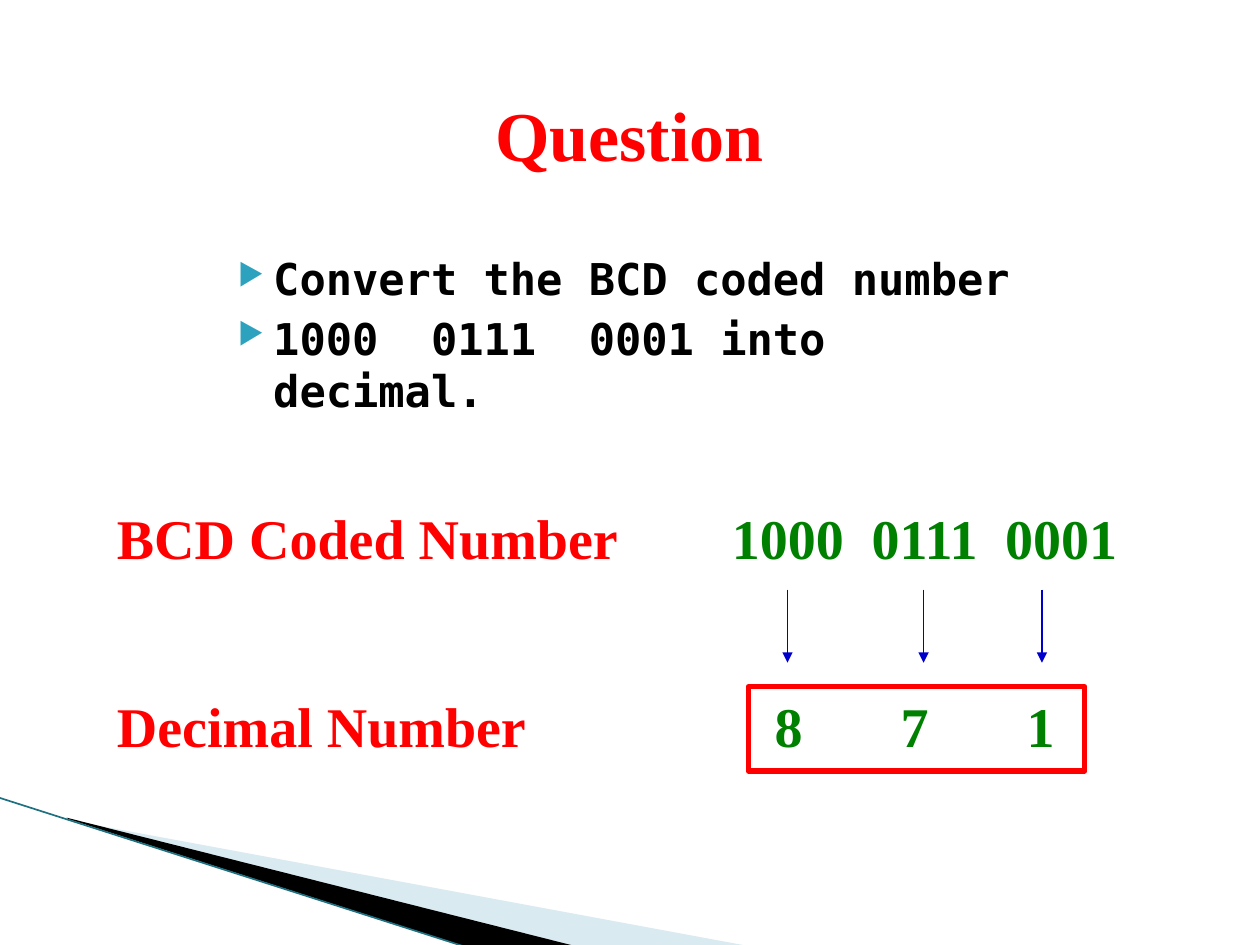
from pptx import Presentation
from pptx import util as u
from pptx.dml.color import RGBColor
from pptx.enum import shapes, text
from pptx.oxml.ns import qn
from lxml import etree

HEX = {"red": "FF0000", "green": "008000", "blue": "0000CC", "black": "000000",
       "pale": "A0CBDC", "teal": "1F7080", "mark": "2DA2BF"}
SERIF, MONO = "Times New Roman", "DejaVu Sans Mono"


def rgb(name):
    return RGBColor.from_string(HEX[name])


def sub(node, tag, **attrs):
    """Append a child element with the given attributes."""
    child = etree.SubElement(node, qn(tag))
    for key, val in attrs.items():
        child.set(key, str(val))
    return child


class Pen:
    """Draws styled elements on the current slide."""

    def __init__(self, slide):
        self.slide = slide
        self.items = slide.shapes

    def place(self, shape, box):
        for name, val in zip(("left", "top", "width", "height"), box):
            setattr(shape, name, u.Inches(val))

    def frame(self, shape):
        look = {"word_wrap": True, "auto_size": text.MSO_AUTO_SIZE.NONE,
                "vertical_anchor": text.MSO_ANCHOR.TOP}
        for name, val in look.items():
            setattr(shape.text_frame, name, val)
        return shape.text_frame

    def box(self, area):
        return self.frame(self.items.add_textbox(*map(u.Inches, area)))

    def run(self, para, words, size, color, font=SERIF):
        run = para.add_run()
        run.text = words
        for name, val in {"size": u.Pt(size), "bold": True, "name": font}.items():
            setattr(run.font, name, val)
        run.font.color.rgb = rgb(color)

    def title(self, words, area):
        shape = self.items.title
        self.place(shape, area)
        para = self.frame(shape).paragraphs[0]
        para.alignment = text.PP_ALIGN.CENTER
        para.space_before = u.Pt(4)
        self.run(para, words, 40, "red")

    def list(self, lines, area):
        frame = self.box(area)
        for i, line in enumerate(lines):
            para = frame.add_paragraph() if i else frame.paragraphs[0]
            para.space_before = u.Pt(4)
            props = para._p.get_or_add_pPr()
            props.set("marL", str(u.Inches(0.4)))
            props.set("indent", str(u.Inches(-0.28)))
            sub(sub(props, "a:buClr"), "a:srgbClr", val=HEX["mark"])
            sub(props, "a:buSzPct", val=68000)
            sub(props, "a:buChar", char="▶")
            self.run(para, line, 25, "black", MONO)

    def row(self, label, codes, stops, area):
        """A red label, then green codes, each at its own tab stop."""
        para = self.box(area).paragraphs[0]
        para.space_before = u.Pt(4)
        tabs = sub(para._p.get_or_add_pPr(), "a:tabLst")
        for stop in stops:
            sub(tabs, "a:tab", pos=u.Inches(stop), algn="l")
        self.run(para, label, 32, "red")
        self.run(para, "".join("\t" + code for code in codes), 32, "green")

    def line(self, start, end, color, width, head=False):
        link = self.items.add_connector(shapes.MSO_CONNECTOR.STRAIGHT,
                                        *map(u.Inches, start + end))
        link.line.color.rgb = rgb(color)
        link.line.width = u.Pt(width)
        if head:
            sub(link.line._get_or_add_ln(), "a:tailEnd", type="triangle")
        sub(link._element.spPr, "a:effectLst")

    def rect(self, area, color, width):
        shape = self.items.add_shape(shapes.MSO_SHAPE.RECTANGLE, *map(u.Inches, area))
        shape.shadow.inherit = False
        shape.fill.background()
        shape.line.color.rgb = rgb(color)
        shape.line.width = u.Pt(width)

    def wedge(self, points, color, alpha=None):
        first, *rest = [tuple(map(u.Inches, point)) for point in points]
        path = self.items.build_freeform(*first)
        path.add_line_segments(rest, close=True)
        shape = path.convert_to_shape()
        shape.shadow.inherit = False
        shape.fill.solid()
        shape.fill.fore_color.rgb = rgb(color)
        shape.line.fill.background()
        if alpha:
            tint = shape._element.spPr.find(qn("a:solidFill"))[0]
            sub(tint, "a:alpha", val=alpha * 1000)


def main():
    deck = Presentation()
    deck.slide_width, deck.slide_height = u.Inches(10), u.Inches(7.5)
    pen = Pen(deck.slides.add_slide(deck.slide_layouts[5]))

    pen.wedge([(0.55, 6.51), (5.95, 7.51), (4.56, 7.51), (0.55, 6.5)], "pale", 40)
    pen.wedge([(0.53, 6.49), (4.57, 7.51), (3.72, 7.52), (0.54, 6.5)], "black")
    pen.line((-0.01, 6.33), (3.71, 7.52), "teal", 0.95)

    pen.title("Question", (3.08, 0.68, 3.83, 0.77))
    pen.list(["Convert the BCD coded number", "1000  0111  0001 into decimal."],
             (1.67, 1.95, 6.75, 1.25))
    for x in (6.25, 7.33, 8.27):
        pen.line((x, 4.68), (x, 5.26), "blue", 0.75, head=True)
    pen.row("BCD Coded Number", ["1000", "0111", "0001"], (4.88, 5.99, 7.05),
            (0.83, 3.95, 8.67, 0.63))
    pen.row("Decimal Number", "871", (5.22, 6.22, 7.22), (0.83, 5.44, 7.65, 0.63))
    pen.rect((5.94, 5.45, 2.67, 0.67), "red", 3)
    deck.save("out.pptx")


if __name__ == "__main__":
    main()
